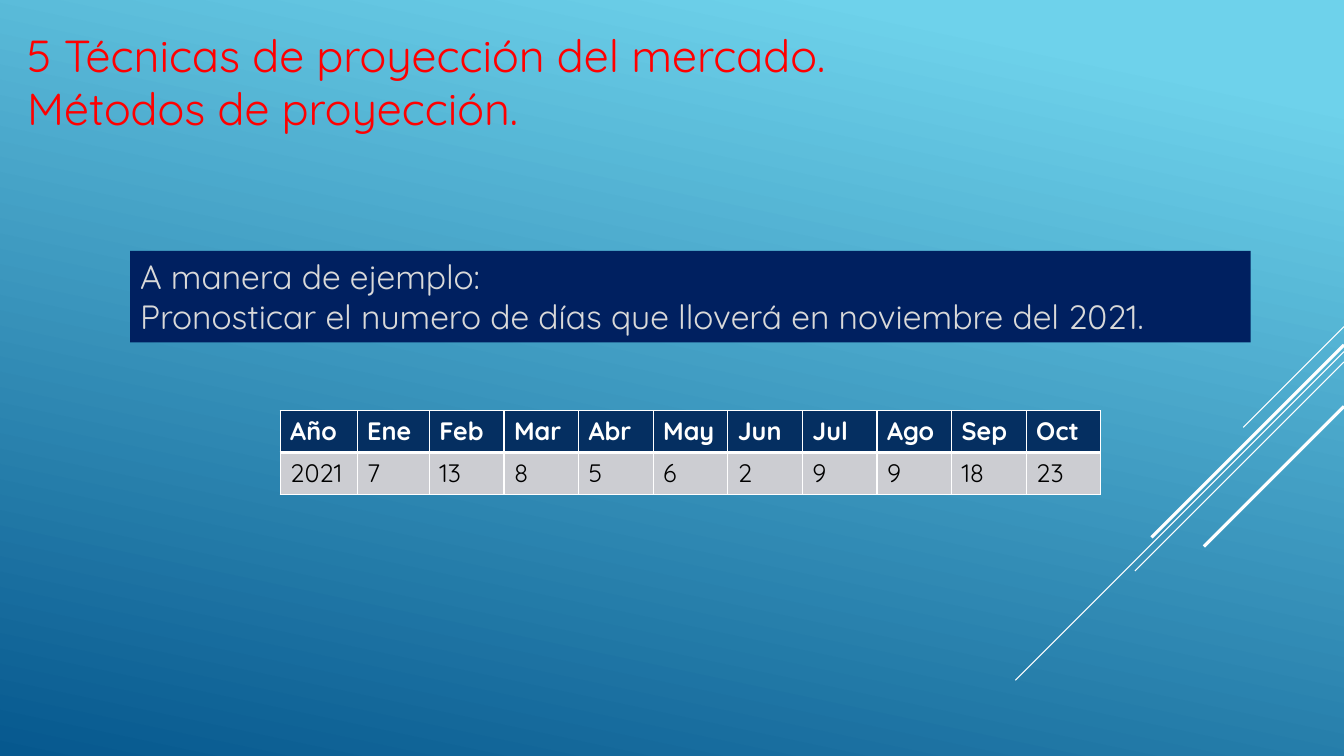
from lxml import etree
from pptx import Presentation
from pptx import util as u
from pptx.dml.color import RGBColor
from pptx.enum import shapes, text
from pptx.oxml.ns import qn

Cm, Pt = u.Cm, u.Pt
FONT = "Quicksand"
COLORS = {
    "sky": "6ED2EB", "deep": "06588E", "white": "FFFFFF", "red": "FF0000",
    "navy": "002060", "light": "D9D9D9", "header": "052F61",
    "body": "CCCDD2", "black": "000000",
}


def rgb(name):
    return RGBColor.from_string(COLORS[name])


def write(frame, lines, size, color, bold=False):
    """Put each line in its own left-aligned paragraph."""
    for index, line in enumerate(lines):
        para = frame.paragraphs[0] if index == 0 else frame.add_paragraph()
        para.alignment = text.PP_ALIGN.LEFT
        span = para.add_run()
        span.text = line
        span.font.name = FONT
        span.font.size = Pt(size)
        span.font.bold = bold
        span.font.color.rgb = rgb(color)


deck = Presentation()
deck.slide_width, deck.slide_height = Cm(33.87), Cm(19.05)
page = deck.slides.add_slide(deck.slide_layouts[5])

# Background gradient
backdrop = page.background.fill
backdrop.gradient()
backdrop.gradient_angle = 360 - 102
for stop, (color, position) in zip(backdrop.gradient_stops, [("sky", 0.1), ("deep", 1)]):
    stop.color.rgb = rgb(color)
    stop.position = position

# Diagonal lines from the right edge: start height, run, width in points
for top, run, width in [(8.23, 2.54, 0.75), (8.86, 8.28, 0.75), (9.12, 5.27, 0.75),
                        (8.69, 4.85, 2.25), (10.24, 3.53, 2.25)]:
    line = page.shapes.add_connector(
        shapes.MSO_CONNECTOR.STRAIGHT,
        deck.slide_width, Cm(top), deck.slide_width - Cm(run), Cm(top + run))
    line.line.color.rgb = rgb("white")
    line.line.width = Pt(width)
    etree.SubElement(line._element.spPr, qn("a:effectLst"))

# Title
title = page.shapes.title
title.left, title.top, title.width, title.height = Cm(0.43), Cm(0.56), Cm(23.24), Cm(3)
title.text_frame.word_wrap = True
title.text_frame.auto_size = text.MSO_AUTO_SIZE.NONE
title.text_frame.vertical_anchor = text.MSO_ANCHOR.TOP
write(title.text_frame,
      ["5 Técnicas de proyección del mercado.", "Métodos de proyección."], 32, "red")

# Example banner
banner = page.shapes.add_shape(
    shapes.MSO_SHAPE.RECTANGLE, Cm(3.28), Cm(6.32), Cm(28.24), Cm(2.31))
banner.shadow.inherit = False
banner.fill.solid()
banner.fill.fore_color.rgb = rgb("navy")
banner.line.fill.background()
banner.text_frame.word_wrap = True
banner.text_frame.vertical_anchor = text.MSO_ANCHOR.TOP
write(banner.text_frame,
      ["A manera de ejemplo:",
       "Pronosticar el numero de días que lloverá en noviembre del 2021."], 24, "light")

# Rainy days table
rain = [
    ("Año", "Ene", "Feb", "Mar", "Abr", "May", "Jun", "Jul", "Ago", "Sep", "Oct"),
    ("2021", "7", "13", "8", "5", "6", "2", "9", "9", "18", "23"),
]
widths = [1.94, 1.82] + [1.88] * 9
row_styles = [
    {"fill": "header", "color": "white", "bold": True, "thick": "lnB"},
    {"fill": "body", "color": "black", "bold": False, "thick": "lnT"},
]
table = page.shapes.add_table(
    len(rain), len(widths), Cm(7.06), Cm(10.35), Cm(sum(widths)), Cm(2.06)).table
for column, width in zip(table.columns, widths):
    column.width = Cm(width)

for row, (values, style) in enumerate(zip(rain, row_styles)):
    for col, value in enumerate(values):
        cell = table.cell(row, col)
        write(cell.text_frame, [value], 18, style["color"], style["bold"])
        cell.fill.solid()
        cell.fill.fore_color.rgb = rgb(style["fill"])
        # White borders, thicker between header and values
        for index, side in enumerate(["lnL", "lnR", "lnT", "lnB"]):
            points = 3 if side == style["thick"] else 1
            border = etree.Element(qn(f"a:{side}"), w=str(Pt(points)))
            solid = etree.SubElement(border, qn("a:solidFill"))
            etree.SubElement(solid, qn("a:srgbClr"), val=COLORS["white"])
            cell._tc.tcPr.insert(index, border)

deck.save("out.pptx")
